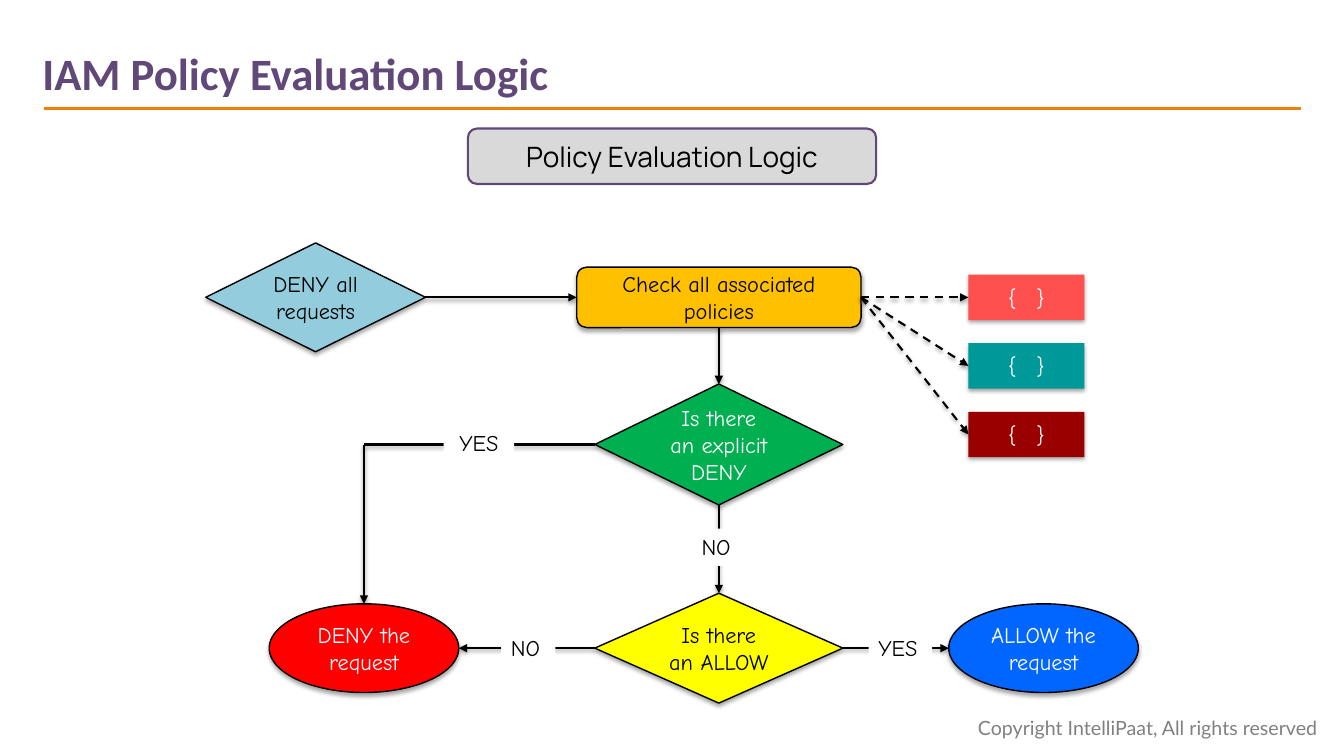
from pptx import Presentation
from pptx.dml.color import RGBColor
from pptx.enum.dml import MSO_LINE
from pptx.enum.shapes import MSO_CONNECTOR, MSO_SHAPE
from pptx.enum.text import MSO_ANCHOR, MSO_AUTO_SIZE, PP_ALIGN
from pptx.oxml import parse_xml
from pptx.oxml.ns import nsdecls, qn
from pptx.util import Inches, Pt

DIAMOND = MSO_SHAPE.FLOWCHART_DECISION
ROUNDED = MSO_SHAPE.ROUNDED_RECTANGLE
RECTANGLE = MSO_SHAPE.RECTANGLE
ELLIPSE = MSO_SHAPE.OVAL
STRAIGHT = MSO_CONNECTOR.STRAIGHT
DASH = MSO_LINE.DASH
LEFT, CENTER = PP_ALIGN.LEFT, PP_ALIGN.CENTER
TOP, MIDDLE = MSO_ANCHOR.TOP, MSO_ANCHOR.MIDDLE

BLACK = RGBColor(0x00, 0x00, 0x00)
WHITE = RGBColor(0xFF, 0xFF, 0xFF)
GRAY = RGBColor(0x80, 0x80, 0x80)
SILVER = RGBColor(0xD9, 0xD9, 0xD9)
PURPLE = RGBColor(0x60, 0x48, 0x78)
ORANGE = RGBColor(0xF0, 0x7F, 0x09)
SKY = RGBColor(0x93, 0xCD, 0xDD)
AMBER = RGBColor(0xFF, 0xC0, 0x00)
GREEN = RGBColor(0x00, 0xB0, 0x50)
YELLOW = RGBColor(0xFF, 0xFF, 0x00)
RED = RGBColor(0xFF, 0x00, 0x00)
BLUE = RGBColor(0x00, 0x66, 0xFF)
POLICY_COLORS = (RGBColor(0xFF, 0x50, 0x50), RGBColor(0x00, 0x99, 0x99),
                 RGBColor(0x99, 0x00, 0x00))

WIDTH, HEIGHT = 13.33, 7.5
# Centre lines of the flow chart, in inches
START_COL, DENY_COL, MAIN_COL, POLICY_COL, ALLOW_COL = 3.13, 3.61, 7.13, 10.18, 10.35
CHECK_ROW, EXPLICIT_ROW, RESULT_ROW = 2.95, 4.41, 6.43
POLICY_STEP = 0.68


def write(shape, text, *, size=16, font="Comic Neue", color=BLACK, bold=False,
          align=CENTER, anchor=MIDDLE, wrap=True, spacing=0):
    """Fill a shape with one formatted paragraph; spacing is in points."""
    frame = shape.text_frame
    frame.auto_size = MSO_AUTO_SIZE.NONE
    frame.word_wrap = wrap
    frame.vertical_anchor = anchor
    para = frame.paragraphs[0]
    para.alignment = align
    span = para.add_run()
    span.text = text
    span.font.size = Pt(size)
    span.font.name = font
    span.font.bold = bold
    span.font.color.rgb = color
    if spacing:
        span.font._element.set("spc", str(round(spacing * 100)))


def add_effects(shape, opacity=0, distance=1.8):
    """Replace the theme shadow by a soft one below, or by none."""
    effects = parse_xml(f"<a:effectLst {nsdecls('a')}/>")
    if opacity:
        effects.append(parse_xml(
            f'<a:outerShdw {nsdecls("a")} blurRad="{Pt(3.1)}" dist="{Pt(distance)}" '
            f'dir="5400000" rotWithShape="0"><a:srgbClr val="000000">'
            f'<a:alpha val="{opacity * 1000}"/></a:srgbClr></a:outerShdw>'))
    shape._element.spPr.append(effects)


def add_node(page, kind, center, extent, fill, text, *, line=BLACK, line_width=1,
             opacity=35, **text_format):
    """Draw a filled shape around its centre point."""
    (x, y), (width, height) = center, extent
    node = page.shapes.add_shape(kind, Inches(x - width / 2), Inches(y - height / 2),
                                 Inches(width), Inches(height))
    node.fill.solid()
    node.fill.fore_color.rgb = fill
    if line is None:
        node.line.fill.background()
    else:
        node.line.color.rgb = line
        node.line.width = Pt(line_width)
    add_effects(node, opacity)
    write(node, text, **text_format)
    return node


def side(node, across, down):
    """Point on a node, as shares of its width and height."""
    return (node.left + node.width * across) / Inches(1), \
           (node.top + node.height * down) / Inches(1)


def left(node):
    return side(node, 0, 0.5)


def right(node):
    return side(node, 1, 0.5)


def top(node):
    return side(node, 0.5, 0)


def bottom(node):
    return side(node, 0.5, 1)


def add_line(page, start, end, *, color=BLACK, width=1.5, dash=None, arrow=True,
             opacity=38):
    points = [Inches(value) for value in (*start, *end)]
    connector = page.shapes.add_connector(STRAIGHT, *points)
    connector.line.color.rgb = color
    connector.line.width = Pt(width)
    if dash:
        connector.line.dash_style = dash
    if arrow:
        outline = connector._element.spPr.find(qn("a:ln"))
        outline.append(parse_xml(f'<a:tailEnd {nsdecls("a")} type="triangle"/>'))
    add_effects(connector, opacity, distance=1.6)


def add_frame(page):
    """Title, rule and copyright line."""
    title = page.shapes.title
    title.left, title.top = Inches(0.32), Inches(0.4)
    title.width, title.height = Inches(5.31), Inches(0.64)
    write(title, "IAM Policy Evaluation Logic", size=32, font="Calibri",
          color=PURPLE, bold=True, align=LEFT, anchor=TOP)
    add_line(page, (12.9, 1.08), (0.44, 1.08), color=ORANGE, width=2.25,
             arrow=False, opacity=0)
    notice = page.shapes.add_textbox(Inches(9.6), Inches(7.05), Inches(3.68), Inches(0.34))
    write(notice, "Copyright IntelliPaat, All rights reserved", size=14, font="Lato",
          color=GRAY, align=LEFT, anchor=TOP, wrap=False)


def add_flow(page):
    start = add_node(page, DIAMOND, (START_COL, CHECK_ROW), (2.18, 1.08), SKY,
                     "DENY all requests")
    check = add_node(page, ROUNDED, (MAIN_COL, CHECK_ROW), (2.82, 0.6), AMBER,
                     "Check all associated policies")
    explicit = add_node(page, DIAMOND, (MAIN_COL, EXPLICIT_ROW), (2.46, 1.2), GREEN,
                        "Is there an explicit DENY", color=WHITE)
    allowed = add_node(page, DIAMOND, (MAIN_COL, RESULT_ROW), (2.46, 1.09), YELLOW,
                       "Is there an ALLOW")
    deny = add_node(page, ELLIPSE, (DENY_COL, RESULT_ROW), (1.88, 0.88), RED,
                    "DENY the request", color=WHITE)
    allow = add_node(page, ELLIPSE, (ALLOW_COL, RESULT_ROW), (1.88, 0.88), BLUE,
                     "ALLOW the request", color=WHITE)

    corner = (DENY_COL, EXPLICIT_ROW)
    add_line(page, left(explicit), corner, arrow=False)
    for begin, end in ((right(start), left(check)), (bottom(check), top(explicit)),
                       (corner, top(deny)), (bottom(explicit), top(allowed)),
                       (left(allowed), right(deny)), (right(allowed), left(allow))):
        add_line(page, begin, end)

    for text, x, y, width, align in (("YES", 4.75, 4.39, 0.7, CENTER),
                                     ("NO", MAIN_COL, 5.43, 0.54, LEFT),
                                     ("NO", 5.24, RESULT_ROW, 0.54, LEFT),
                                     ("YES", 8.93, RESULT_ROW, 0.63, LEFT)):
        add_node(page, RECTANGLE, (x, y), (width, 0.37), WHITE, text,
                 line=None, opacity=0, align=align, anchor=TOP)

    for index, fill in enumerate(POLICY_COLORS):
        center = (POLICY_COL, CHECK_ROW + index * POLICY_STEP)
        policy = add_node(page, RECTANGLE, center, (1.15, 0.45), fill, "{ }",
                          line=None, color=WHITE, spacing=4.5)
        add_line(page, right(check), left(policy), dash=DASH)


def main():
    deck = Presentation()
    deck.slide_width, deck.slide_height = Inches(WIDTH), Inches(HEIGHT)
    page = deck.slides.add_slide(deck.slide_layouts[5])
    add_frame(page)
    add_flow(page)
    add_node(page, ROUNDED, (WIDTH / 2, 1.55), (4.05, 0.55), SILVER,
             "Policy Evaluation Logic", line=PURPLE, line_width=1.5, opacity=0,
             size=20, font="Manrope")
    deck.save("out.pptx")


if __name__ == "__main__":
    main()
